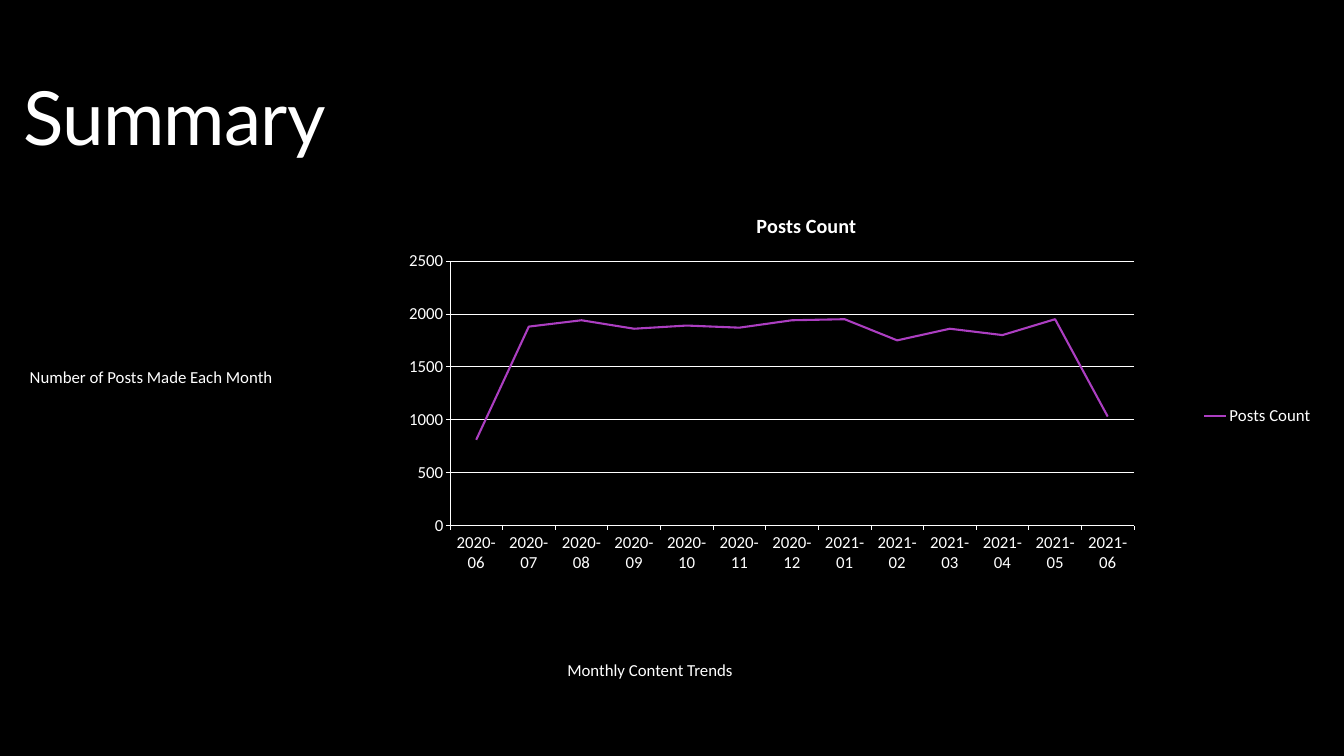
import pptx
import pptx.chart.data
import pptx.dml.color
import pptx.enum.chart
import pptx.enum.text
import pptx.oxml
import pptx.oxml.ns
import pptx.util

PX = 9525  # EMU per px: 1920 px across 20 inches
WHITE = "FFFFFF"
PURPLE = "AC3EC1"


def color(value):
    return pptx.dml.color.RGBColor.from_string(value)


def style(font, name, size, bold=False):
    formats = {"name": name, "size": pptx.util.Pt(size), "bold": bold}
    for key, value in formats.items():
        setattr(font, key, value)
    font.color.rgb = color(WHITE)


# Page
deck = pptx.Presentation()
deck.slide_width, deck.slide_height = 1920 * PX, 1080 * PX
page = deck.slides.add_slide(deck.slide_layouts[5])
page.background.fill.solid()
page.background.fill.fore_color.rgb = color("000000")

# Title
title = page.shapes.title
for key, value in {"left": 33, "top": 101, "width": 493, "height": 130}.items():
    setattr(title, key, value * PX)
frame = title.text_frame
frame_formats = {
    "margin_left": 0, "margin_top": 0, "margin_right": 0, "margin_bottom": 0,
    "word_wrap": True,
    "vertical_anchor": pptx.enum.text.MSO_ANCHOR.TOP,
    "auto_size": pptx.enum.text.MSO_AUTO_SIZE.SHAPE_TO_FIT_TEXT,
}
for key, value in frame_formats.items():
    setattr(frame, key, value)
para = frame.paragraphs[0]
para.alignment = pptx.enum.text.PP_ALIGN.LEFT
para.line_spacing = pptx.util.Pt(96)
span = para.add_run()
span.text = "Summary"
style(span.font, "Lato", 80)
span.font._element.set("spc", "-80")

# Captions: the top margin sets the text one line down
captions = [
    ("Monthly Content Trends", (801, 909, 768, 96), False, 0),
    ("Number of Posts Made Each Month", (33, 490, 543, 68), True, 14),
]
for text, bounds, wrap, space_after in captions:
    box = page.shapes.add_textbox(*(length * PX for length in bounds))
    box.text_frame.word_wrap = wrap
    box.text_frame.margin_top = 34 * PX
    para = box.text_frame.paragraphs[0]
    para.space_after = pptx.util.Pt(space_after)
    span = para.add_run()
    span.text = text
    style(span.font, "Calibri", 18)

# Line chart of posts per month
months = [f"2020-{month:02}" for month in range(6, 13)]
months += [f"2021-{month:02}" for month in range(1, 7)]
posts = [810, 1880, 1940, 1860, 1890, 1870, 1940, 1950, 1750, 1860, 1800, 1950, 1030]
data = pptx.chart.data.CategoryChartData()
data.categories = months
data.add_series("Posts Count", posts)
chart = page.shapes.add_chart(
    pptx.enum.chart.XL_CHART_TYPE.LINE,
    416 * PX, 279 * PX, 1472 * PX, 630 * PX, data,
).chart
style(chart.font, "Calibri", 18)

# Chart title and legend
chart.has_title = True
chart.chart_title.include_in_layout = False
span = chart.chart_title.text_frame.paragraphs[0].add_run()
span.text = "Posts Count"
style(span.font, "Calibri", 21.6, bold=True)
chart.has_legend = True
chart.legend.position = pptx.enum.chart.XL_LEGEND_POSITION.RIGHT
chart.legend.include_in_layout = False

# Series line
series = chart.plots[0].series[0]
series.smooth = False
series.marker.style = pptx.enum.chart.XL_MARKER_STYLE.NONE
series.format.line.color.rgb = color(PURPLE)
series.format.line.width = pptx.util.Pt(2.25)
chart.plots[0].vary_by_categories = False

# Axes and gridlines
values = chart.value_axis
for key, value in {"minimum_scale": 0, "maximum_scale": 2500, "major_unit": 500}.items():
    setattr(values, key, value)
values.has_major_gridlines = True
for axis in (values, chart.category_axis):
    axis.major_tick_mark = pptx.enum.chart.XL_TICK_MARK.OUTSIDE
for part in (values, chart.category_axis, values.major_gridlines):
    part.format.line.color.rgb = color(WHITE)
    part.format.line.width = pptx.util.Pt(0.75)

# Fixed plot area, as fractions of the chart
plot_area = chart._chartSpace.chart.plotArea
for old in plot_area.findall(pptx.oxml.ns.qn("c:layout")):
    plot_area.remove(old)
settings = {
    "layoutTarget": "inner", "xMode": "edge", "yMode": "edge",
    "x": 0.154, "y": 0.149, "w": 0.664, "h": 0.6,
}
items = "".join(f'<c:{key} val="{value}"/>' for key, value in settings.items())
plot_area.insert(0, pptx.oxml.parse_xml(
    f'<c:layout {pptx.oxml.ns.nsdecls("c")}><c:manualLayout>{items}</c:manualLayout></c:layout>'
))

deck.save("out.pptx")
